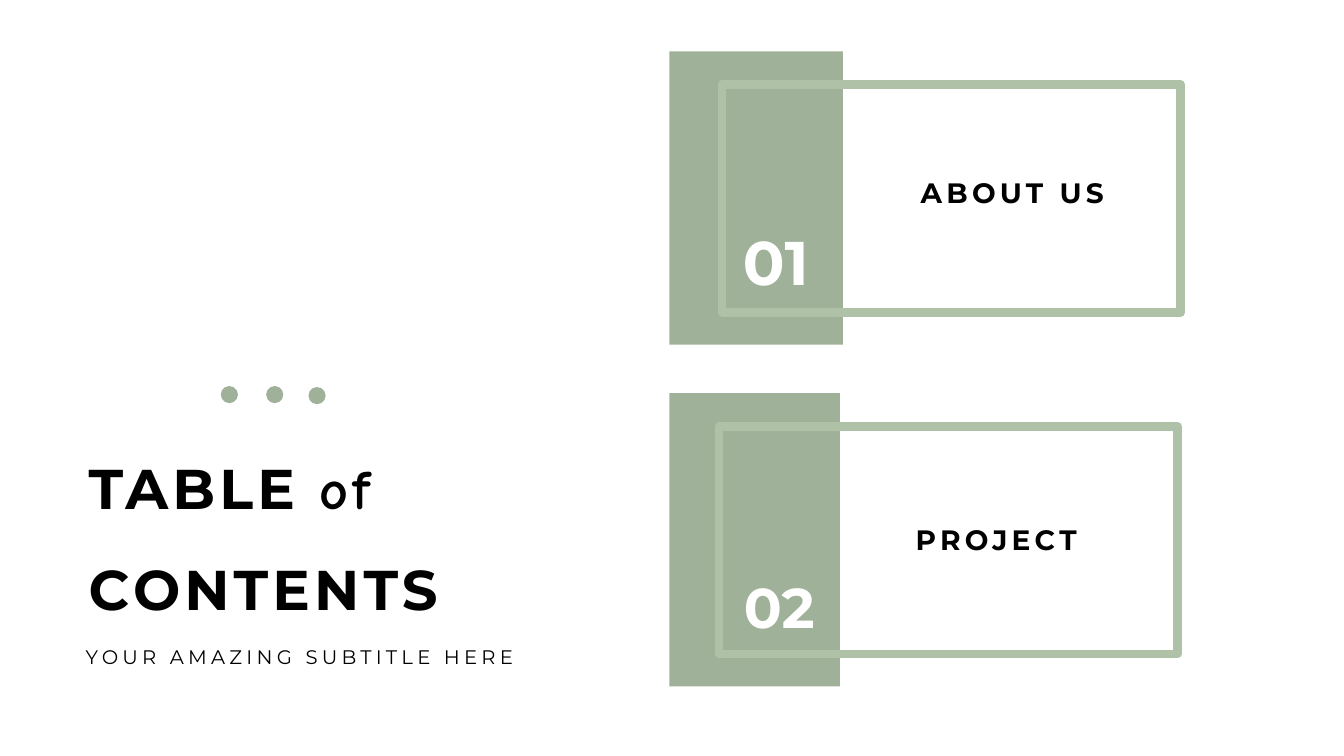
from dataclasses import dataclass

from pptx import Presentation
from pptx.dml.color import RGBColor
from pptx.enum import shapes, text
from pptx.util import Inches, Pt

COLORS = {"sage": "A0B19A", "frame": "AFC1A7", "ink": "000000", "white": "FFFFFF"}
FONT = "Montserrat"
SCRIPT_FONT = "Comic Neue"


@dataclass
class Card:
    number: str
    label: str
    band_width: float
    number_size: int
    number_box: tuple
    label_box: tuple


CARDS = [
    Card("01", "ABOUT US", 1.72, 44, (0.63, 1.66, 1.38, 0.84), (2.36, 1.18, 2.08, 0.44)),
    Card("02", "PROJECT", 1.69, 40, (0.64, 1.73, 1.2, 0.77), (2.31, 1.23, 1.86, 0.44)),
]


def color(name):
    return RGBColor.from_string(COLORS[name])


def place(shape, left, top, width, height):
    shape.left, shape.top = Inches(left), Inches(top)
    shape.width, shape.height = Inches(width), Inches(height)


def add_run(paragraph, words, size, ink="ink", bold=False, font=FONT, spacing=0):
    run = paragraph.add_run()
    run.text = words
    run.font.name = font
    run.font.size = Pt(size)
    run.font.bold = bold
    run.font.color.rgb = color(ink)
    if spacing:
        run.font._element.set("spc", str(spacing * 100))


def add_solid(slide, kind, left, top, width, height):
    shape = slide.shapes.add_shape(kind, *map(Inches, (left, top, width, height)))
    shape.shadow.inherit = False
    shape.fill.solid()
    shape.fill.fore_color.rgb = color("sage")
    shape.line.fill.background()


def add_frame(slide, left, top, width, height):
    frame = slide.shapes.add_shape(
        shapes.MSO_SHAPE.RECTANGLE, *map(Inches, (left, top, width, height)))
    frame.shadow.inherit = False
    frame.fill.background()
    frame.line.color.rgb = color("frame")
    frame.line.width = Pt(6)


def add_text_box(slide, left, top, width, height, wrap):
    box = slide.shapes.add_textbox(*map(Inches, (left, top, width, height)))
    box.text_frame.word_wrap = wrap
    box.text_frame.auto_size = text.MSO_AUTO_SIZE.SHAPE_TO_FIT_TEXT
    return box.text_frame.paragraphs[0]


def prepare_placeholder(shape, left, top, width, height):
    place(shape, left, top, width, height)
    frame = shape.text_frame
    frame.word_wrap = True
    frame.auto_size = text.MSO_AUTO_SIZE.NONE
    frame.vertical_anchor = text.MSO_ANCHOR.TOP
    paragraph = frame.paragraphs[0]
    paragraph.alignment = text.PP_ALIGN.LEFT
    paragraph.line_spacing = 1.5
    paragraph.space_before = Pt(0)
    return paragraph


def add_heading(slide, left, top):
    title = prepare_placeholder(slide.shapes.title, left + 0.03, top, 5, 2.01)
    for words, font in (("TABLE ", FONT), ("of ", SCRIPT_FONT), ("CONTENTS", FONT)):
        add_run(title, words, 40, bold=True, font=font, spacing=3)
    subtitle = prepare_placeholder(slide.placeholders[1], left, top + 2.11, 5.51, 0.58)
    add_run(subtitle, "YOUR AMAZING SUBTITLE HERE", 14, spacing=3)


def add_dots(slide, left, top):
    for dx, dy in ((0, 0), (0.45, 0), (0.87, 0.01)):
        add_solid(slide, shapes.MSO_SHAPE.OVAL, left + dx, top + dy, 0.17, 0.17)


def add_card(slide, card, left, top):
    add_solid(slide, shapes.MSO_SHAPE.RECTANGLE, left, top, card.band_width, 2.91)
    add_frame(slide, left + card.band_width - 1.2, top + 0.33, 4.55, 2.26)
    dx, dy, width, height = card.number_box
    number = add_text_box(slide, left + dx, top + dy, width, height, True)
    add_run(number, card.number, card.number_size, "white", bold=True)
    dx, dy, width, height = card.label_box
    label = add_text_box(slide, left + dx, top + dy, width, height, False)
    label.alignment = text.PP_ALIGN.CENTER
    add_run(label, card.label, 20, bold=True, spacing=3)


def main():
    presentation = Presentation()
    presentation.slide_width, presentation.slide_height = Inches(13.33), Inches(7.5)
    slide = presentation.slides.add_slide(presentation.slide_layouts[0])
    slide.background.fill.solid()
    slide.background.fill.fore_color.rgb = color("white")
    add_heading(slide, 0.75, 4.12)
    add_dots(slide, 2.19, 3.83)
    for row, card in enumerate(CARDS):
        add_card(slide, card, 6.64, 0.51 + 3.39 * row)
    presentation.save("out.pptx")


if __name__ == "__main__":
    main()
